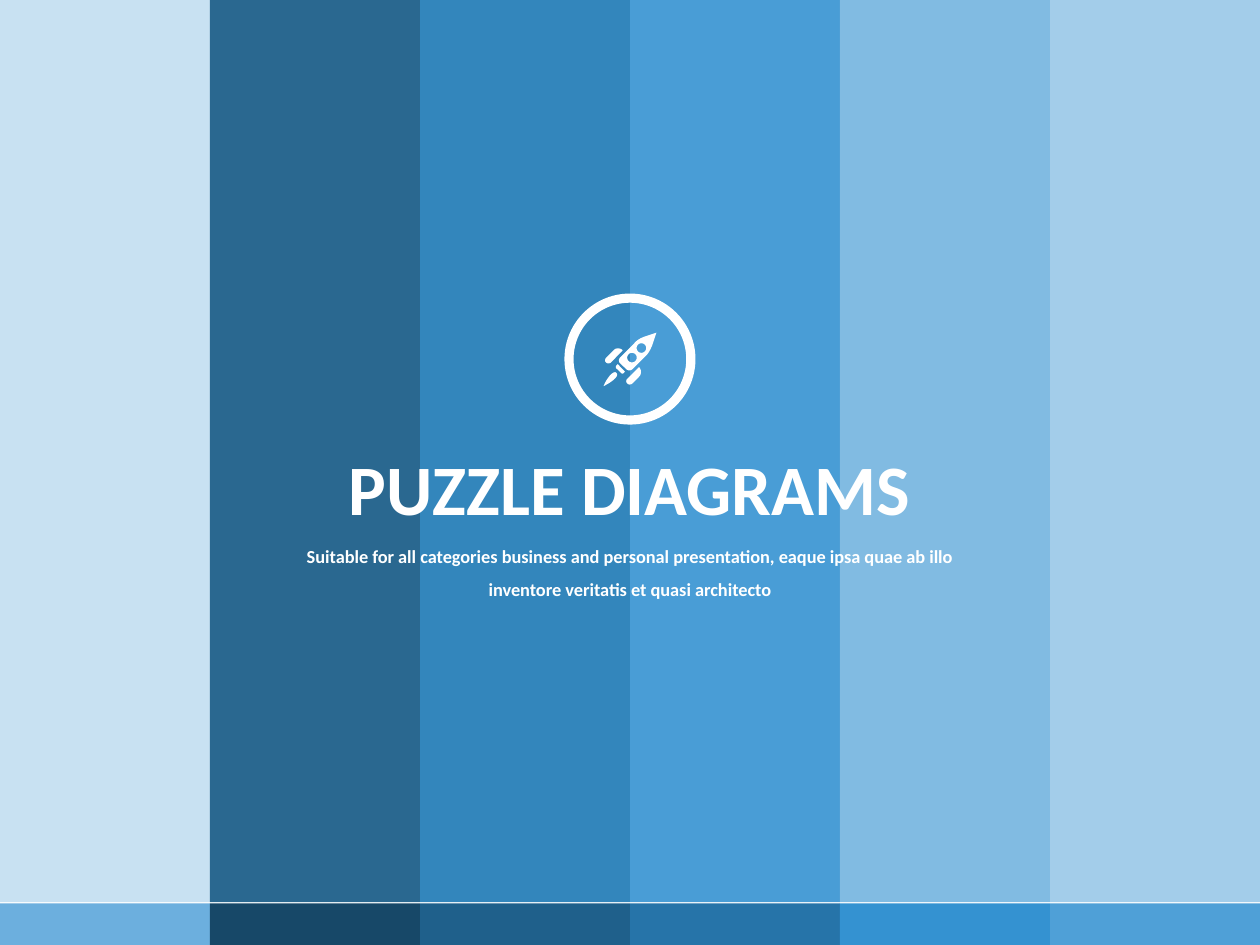
from math import cos, pi, sin

from lxml import etree
from pptx import Presentation
from pptx.dml.color import RGBColor
from pptx.enum.shapes import MSO_SHAPE
from pptx.enum.text import MSO_AUTO_SIZE, PP_ALIGN
from pptx.oxml.ns import qn
from pptx.util import Inches, Pt

RECTANGLE, DONUT = MSO_SHAPE.RECTANGLE, MSO_SHAPE.DONUT
CENTER = PP_ALIGN.CENTER
FIT_SHAPE = MSO_AUTO_SIZE.SHAPE_TO_FIT_TEXT

WHITE = RGBColor(0xFF, 0xFF, 0xFF)
STRIPE_COLORS = [
    RGBColor(0xC6, 0xE0, 0xF2), RGBColor(0x1F, 0x60, 0x8B), RGBColor(0x29, 0x80, 0xB9),
    RGBColor(0x40, 0x98, 0xD4), RGBColor(0x7B, 0xB8, 0xE1), RGBColor(0x9F, 0xCB, 0xE9),
]
FOOTER_COLORS = [
    RGBColor(0x6C, 0xAF, 0xDE), RGBColor(0x17, 0x48, 0x68), RGBColor(0x1F, 0x60, 0x8B),
    RGBColor(0x26, 0x74, 0xA9), RGBColor(0x34, 0x92, 0xD1), RGBColor(0x4F, 0xA0, 0xD7),
]

# Rocket outlines in hundredths of an inch from the icon corner.
# Two numbers are a point, six are a Bezier curve from the point before.
ROCKET_LEFT, ROCKET_TOP = 4.79, 2.64
BODY = [(33, 3), (30, 4, 26, 6, 24, 9), (13, 20), (12, 21, 12, 23, 13, 24.2),
        (18.5, 29.3), (19.5, 30.2, 21.5, 30.2, 22.7, 29.2), (34, 18),
        (36, 16, 38, 12, 39, 9), (42, 0)]
LEFT_FIN = [(6, 23.7), (15.3, 14), (13, 12, 10, 12, 8, 14), (2.3, 19.7),
            (1, 21, 1, 22.7, 2, 23.7), (3, 24.7, 5, 24.7, 6, 23.7)]
RIGHT_FIN = [(18.8, 36.8), (17.8, 37.8, 17.8, 39.3, 18.8, 40.3),
             (20, 41.5, 21.5, 41.5, 23, 40.3), (28.3, 35), (30.3, 33, 30.3, 29.5, 28.3, 27.3)]
NOZZLE = [(10.3, 26), (9.5, 27, 9.5, 27.8, 10.3, 28.5), (14, 32),
          (14.8, 32.8, 15.2, 32.8, 16, 32), (17, 31), (11.3, 25)]
FLAME = [(0, 42.5), (5, 40, 13, 35, 10.3, 32), (8, 29, 2, 37, 0, 42.5)]
WINDOWS = [
    [(x + 3.8 * cos(pi * step / 16), y + 3.8 * sin(pi * step / 16)) for step in range(32)]
    for x, y in [(22.6, 19.8), (30.1, 12.2)]
]


def paint(shape, color):
    shape.shadow.inherit = False
    shape.fill.solid()
    shape.fill.fore_color.rgb = color
    shape.line.fill.background()


def trace(outline):
    """Return the outline as slide points, with each curve cut into short lines."""
    points = []
    for segment in outline:
        if len(segment) == 2:
            points.append(segment)
            continue
        start, first, second, end = points[-1], segment[:2], segment[2:4], segment[4:]
        for t in [step / 8 for step in range(1, 9)]:
            points.append(tuple(
                (1 - t) ** 3 * a + 3 * (1 - t) ** 2 * t * b + 3 * (1 - t) * t ** 2 * c + t ** 3 * d
                for a, b, c, d in zip(start, first, second, end)))
    return [(Inches(ROCKET_LEFT + x / 100), Inches(ROCKET_TOP + y / 100)) for x, y in points]


presentation = Presentation()
presentation.slide_width, presentation.slide_height = Inches(10), Inches(7.5)
slide = presentation.slides.add_slide(presentation.slide_layouts[6])

# Stripes and footer band
stripe_width = Inches(10) / 6
footer = []
for column, (stripe_color, footer_color) in enumerate(zip(STRIPE_COLORS, FOOTER_COLORS)):
    left = round(column * stripe_width)
    width = round((column + 1) * stripe_width) - left
    stripe = slide.shapes.add_shape(RECTANGLE, left, 0, width, Inches(7.16))
    paint(stripe, stripe_color)
    color_element = stripe.fill._xPr.find(qn("a:solidFill"))[0]
    etree.SubElement(color_element, qn("a:alpha"), val="95000")
    footer_cell = slide.shapes.add_shape(RECTANGLE, left, Inches(7.17), width, Inches(0.33))
    paint(footer_cell, footer_color)
    footer.append(footer_cell)
slide.shapes.add_group_shape(footer)

# Title and subtitle
for text, left, top, width, height, size, spacing, wrap in [
    ("PUZZLE DIAGRAMS", 2.65, 3.48, 4.7, 0.78, 40.5, 1.0, False),
    ("Suitable for all categories business and personal presentation, eaque ipsa quae ab illo "
     "inventore veritatis et quasi architecto", 2.19, 4.19, 5.62, 0.63, 10.5, 1.5, True),
]:
    box = slide.shapes.add_textbox(Inches(left), Inches(top), Inches(width), Inches(height))
    box.text_frame.word_wrap = wrap
    box.text_frame.auto_size = FIT_SHAPE
    paragraph = box.text_frame.paragraphs[0]
    paragraph.text = text
    paragraph.alignment = CENTER
    paragraph.line_spacing = spacing
    paragraph.font.name = "Calibri"
    paragraph.font.size = Pt(size)
    paragraph.font.bold = True
    paragraph.font.color.rgb = WHITE

# Rocket icon in a ring
ring = slide.shapes.add_shape(DONUT, Inches(4.48), Inches(2.33), Inches(1.04), Inches(1.04))
ring.adjustments[0] = 0.07
paint(ring, WHITE)

rocket = slide.shapes.add_group_shape()
for outlines in [[BODY, *WINDOWS], [LEFT_FIN], [RIGHT_FIN], [NOZZLE], [FLAME]]:
    contours = [trace(outline) for outline in outlines]
    builder = rocket.shapes.build_freeform(*contours[0][0])
    builder.add_line_segments(contours[0][1:], close=True)
    for contour in contours[1:]:
        builder.move_to(*contour[0])
        builder.add_line_segments(contour[1:], close=True)
    paint(builder.convert_to_shape(), WHITE)

presentation.save("out.pptx")
